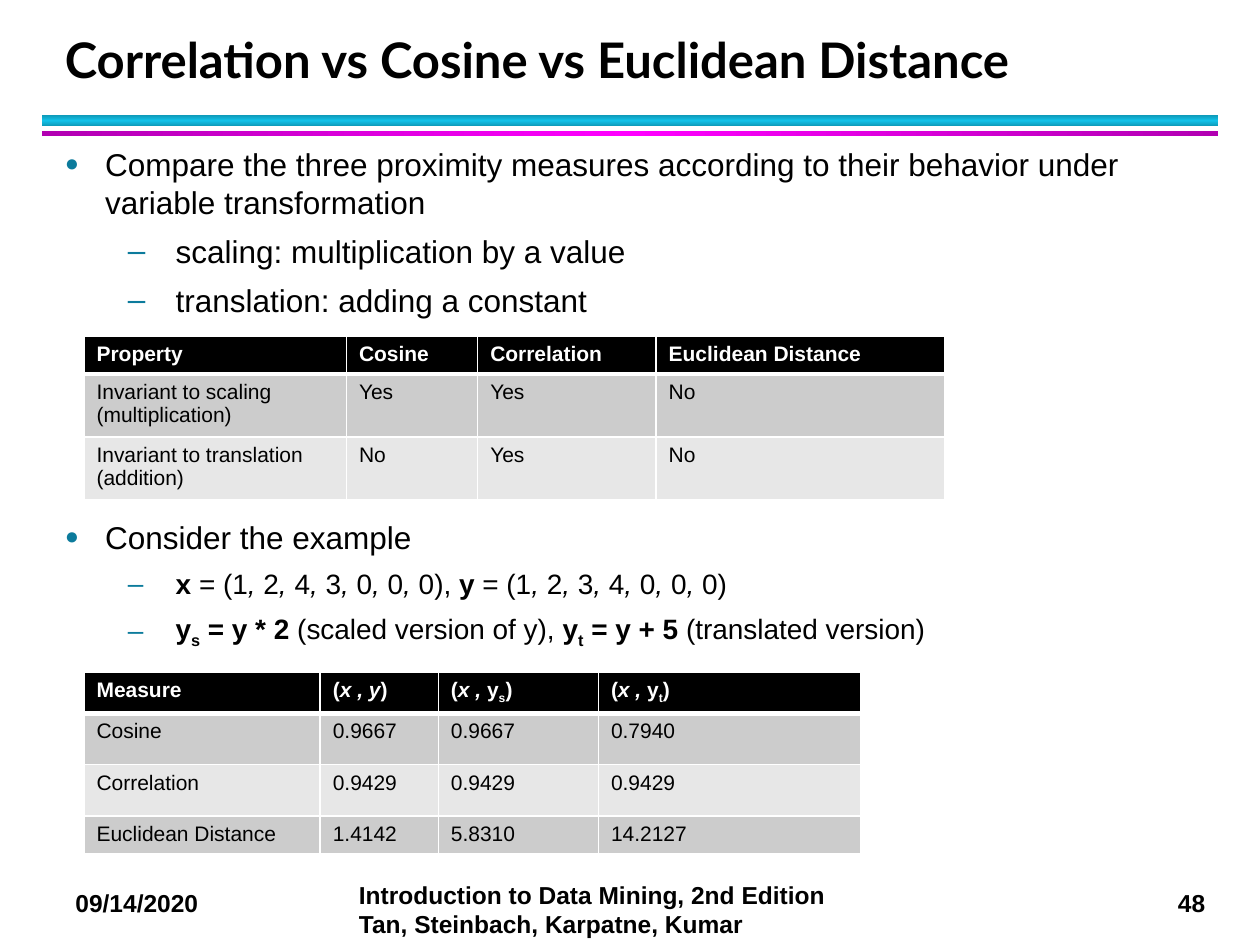
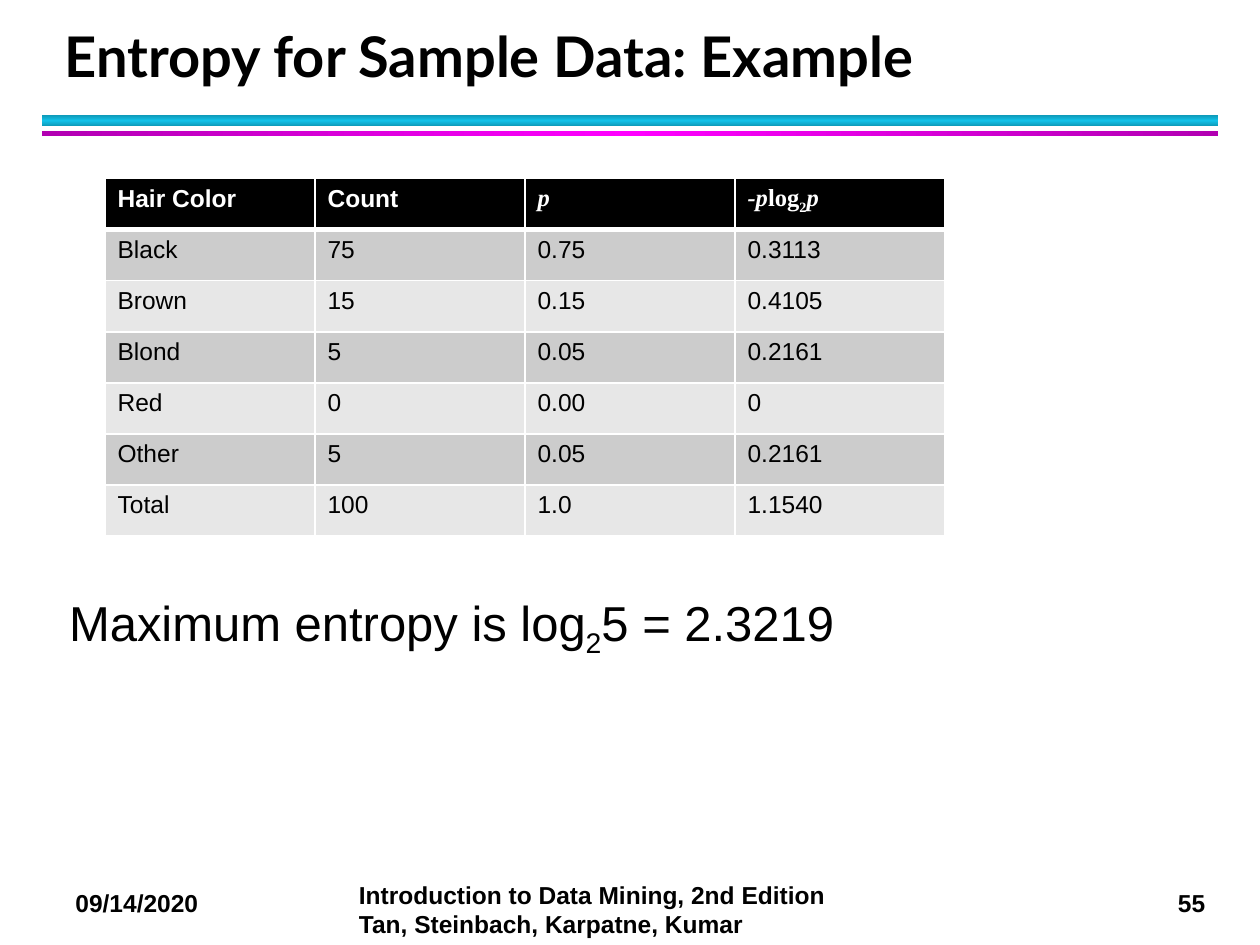
from dataclasses import dataclass

from pptx import Presentation
from pptx.dml.color import RGBColor
from pptx.enum.shapes import MSO_SHAPE
from pptx.enum.text import MSO_ANCHOR
from pptx.oxml import parse_xml
from pptx.oxml.ns import nsdecls
from pptx.util import Inches, Pt

RECT = MSO_SHAPE.RECTANGLE
TOP, BOTTOM = MSO_ANCHOR.TOP, MSO_ANCHOR.BOTTOM
COLS, ROWS, CELL = 120, 90, 1 / 12
BLANK = 6


@dataclass(frozen=True)
class Theme:
    body: str = "Arial"
    heading: str = "Lato"
    math: str = "Times New Roman"
    ink: str = "000000"
    paper: str = "FFFFFF"
    bullet: str = "0C7B9C"
    stripes: tuple = ("CCCCCC", "E7E7E7")
    cyan: tuple = ("0E9BBA", "12C2E9", "0E9BBA")
    magenta: tuple = ("B200B2", "FF00FF", "B200B2")
    footer_size: int = 14
    text_size: int = 18
    example_size: int = 16
    result_size: int = 28
    rule: int = 1
    header_rule: int = 3


T = Theme()


def vector(values):
    runs = [("= (", "")]
    for i, value in enumerate(values):
        runs += [(", ", "i")] * (i > 0) + [(str(value), "")]
    return runs + [(")", "")]


BANDS = [((4, 11, 112, 1), T.cyan, 90), ((4, 12.5, 112, 0.5), T.magenta, 0)]
FOOTERS = [
    ((6, 84, 16, 4), "09/14/2020"),
    ((33, 83.2, 49, 6.8), "Introduction to Data Mining, 2nd Edition\vTan, Steinbach, Karpatne, Kumar"),
]
PAGE_BOX = (111, 84, 5.25, 4)
TITLE_BOX = (5, 2, 108.75, 7)

BULLETS = {
    "main": {"mark": "●", "scale": 75, "left": 0.32, "hang": 0.32},
    "sub": {"mark": "–", "scale": 100, "left": 0.88, "hang": 0.38},
}

SLIDES = [
    {
        "title": "Correlation vs Cosine vs Euclidean Distance",
        "title_size": 28,
        "page": "48",
        "texts": [
            {"box": (5, 13.2, 109.2, 18), "paragraphs": [
                ("main", T.text_size, "Compare the three proximity measures according to "
                                      "their behavior under variable transformation"),
                ("sub", T.text_size, "scaling: multiplication by a value"),
                ("sub", T.text_size, "translation: adding a constant"),
            ]},
            {"box": (5, 48.7, 109.2, 14.5), "paragraphs": [
                ("main", T.text_size, "Consider the example"),
                ("sub", T.example_size, [
                    ("x ", "b"), *vector([1, 2, 4, 3, 0, 0, 0]), (", ", ""),
                    ("y ", "b"), *vector([1, 2, 3, 4, 0, 0, 0])]),
                ("sub", T.example_size, [
                    ("y", "b"), ("s", "bs"), (" = y * 2 ", "b"), ("(scaled version of y), ", ""),
                    ("y", "b"), ("t", "bs"), (" = y + 5 ", "b"), ("(translated version)", "")]),
            ]},
        ],
        "tables": [
            {"at": (8, 32), "cols": [25, 12.5, 17, 27.5], "rows": [3.5, 4.9, 4], "size": 12,
             "cells": [
                 ["Property", "Cosine", "Correlation", "Euclidean Distance"],
                 ["Invariant to scaling (multiplication)", "Yes", "Yes", "No"],
                 ["Invariant to translation (addition)", "No", "Yes", "No"]]},
            {"at": (8, 64), "cols": [22.5, 11.25, 15.25, 25], "rows": [2.9, 4.9, 4.9, 3.4], "size": 12,
             "cells": [
                 ["Measure",
                  [("(", ""), ("x , y", "i"), (")", "")],
                  [("(", ""), ("x , ", "i"), ("y", ""), ("s", "s"), (")", "")],
                  [("(", ""), ("x , ", "i"), ("y", ""), ("t", "s"), (")", "")]],
                 ["Cosine", "0.9667", "0.9667", "0.7940"],
                 ["Correlation", "0.9429", "0.9429", "0.9429"],
                 ["Euclidean Distance", "1.4142", "5.8310", "14.2127"]]},
        ],
    },
    {
        "title": "Entropy for Sample Data: Example",
        "title_size": 32,
        "page": "55",
        "texts": [
            {"box": (5.4, 55.8, 109.2, 7), "paragraphs": [
                (None, T.result_size, [("Maximum entropy is log", ""), ("2", "s"), ("5 = 2.3219", "")]),
            ]},
        ],
        "tables": [
            {"at": (10, 17), "cols": [20] * 4, "rows": [4.87] * 7, "size": 14,
             "cells": [
                 ["Hair Color", "Count", [("p", "im")],
                  [("-p", "im"), ("log", "m"), ("2", "ms"), ("p", "im")]],
                 ["Black", "75", "0.75", "0.3113"],
                 ["Brown", "15", "0.15", "0.4105"],
                 ["Blond", "5", "0.05", "0.2161"],
                 ["Red", "0", "0.00", "0"],
                 ["Other", "5", "0.05", "0.2161"],
                 ["Total", "100", "1.0", "1.1540"]]},
        ],
    },
]


def grid(*units):
    return [Inches(u * CELL) for u in units]


def add_runs(p, content, size, color=T.ink, font=T.body, bold=False):
    for text, marks in [(content, "")] if isinstance(content, str) else content:
        for i, line in enumerate(text.split("\v")):
            if i:
                p.add_line_break()
            r = p.add_run()
            r.text = line
            look = {"name": T.math if "m" in marks else font, "size": Pt(size),
                    "bold": bold or "b" in marks, "italic": "i" in marks}
            for key, value in look.items():
                setattr(r.font, key, value)
            r.font.color.rgb = RGBColor.from_string(color)
            if "s" in marks:
                r.font._element.set("baseline", "-25000")


def add_bullet(p, mark, scale, left, hang):
    pPr = p._p.get_or_add_pPr()
    pPr.set("marL", str(Inches(left)))
    pPr.set("indent", str(-Inches(hang)))
    for xml in (f'<a:buClr {nsdecls("a")}><a:srgbClr val="{T.bullet}"/></a:buClr>',
                f'<a:buSzPct {nsdecls("a")} val="{scale * 1000}"/>',
                f'<a:buFont {nsdecls("a")} typeface="{T.body}"/>',
                f'<a:buChar {nsdecls("a")} char="{mark}"/>'):
        pPr.append(parse_xml(xml))


def add_box(s, box, anchor=TOP):
    tf = s.shapes.add_textbox(*grid(*box)).text_frame
    for key, value in {"word_wrap": True, "vertical_anchor": anchor}.items():
        setattr(tf, key, value)
    return tf


def add_paragraphs(s, box, paragraphs):
    tf = add_box(s, box)
    for i, (level, size, content) in enumerate(paragraphs):
        p = tf.add_paragraph() if i else tf.paragraphs[0]
        p.space_before = Pt(2.5 if i else 0)
        p.space_after = Pt(4)
        if level:
            p.level = list(BULLETS).index(level)
            add_bullet(p, **BULLETS[level])
        add_runs(p, content, size)


def add_band(s, box, colors, angle):
    sp = s.shapes.add_shape(RECT, *grid(*box))
    sp.shadow.inherit = False
    sp.line.fill.background()
    stops = "".join(f'<a:gs pos="{i * 50000}"><a:srgbClr val="{c}"/></a:gs>'
                    for i, c in enumerate(colors))
    sp._element.spPr.prstGeom.addnext(parse_xml(
        f'<a:gradFill {nsdecls("a")} rotWithShape="1"><a:gsLst>{stops}</a:gsLst>'
        f'<a:lin ang="{angle * 60000}" scaled="0"/></a:gradFill>'))


def add_borders(cell, top, bottom):
    widths = {"lnL": T.rule, "lnR": T.rule, "lnT": top, "lnB": bottom}
    for i, (tag, width) in enumerate(widths.items()):
        cell._tc.get_or_add_tcPr().insert(i, parse_xml(
            f'<a:{tag} {nsdecls("a")} w="{Pt(width)}"><a:solidFill>'
            f'<a:srgbClr val="{T.paper}"/></a:solidFill></a:{tag}>'))


def add_grid_table(s, at, cols, rows, size, cells):
    table = s.shapes.add_table(len(rows), len(cols), *grid(*at, sum(cols), sum(rows))).table
    for column, width in zip(table.columns, grid(*cols)):
        column.width = width
    for row, height in zip(table.rows, grid(*rows)):
        row.height = height
    for y, line in enumerate(cells):
        header = y == 0
        fill = T.ink if header else T.stripes[(y - 1) % 2]
        for x, content in enumerate(line):
            cell = table.cell(y, x)
            cell.fill.solid()
            cell.fill.fore_color.rgb = RGBColor.from_string(fill)
            add_borders(cell, T.header_rule if y == 1 else T.rule,
                        T.header_rule if header else T.rule)
            add_runs(cell.text_frame.paragraphs[0], content, size,
                     T.paper if header else T.ink, bold=header)


def add_frame(s, title, title_size, page):
    for band in BANDS:
        add_band(s, *band)
    for box, text in [*FOOTERS, (PAGE_BOX, page)]:
        add_runs(add_box(s, box).paragraphs[0], text, T.footer_size, bold=True)
    p = add_box(s, TITLE_BOX, BOTTOM).paragraphs[0]
    p.line_spacing = Pt(36)
    add_runs(p, title, title_size, font=T.heading, bold=True)


def main():
    prs = Presentation()
    prs.slide_width, prs.slide_height = grid(COLS, ROWS)
    for content in SLIDES:
        s = prs.slides.add_slide(prs.slide_layouts[BLANK])
        add_frame(s, content["title"], content["title_size"], content["page"])
        for text in content["texts"]:
            add_paragraphs(s, **text)
        for table in content["tables"]:
            add_grid_table(s, **table)
    prs.save("out.pptx")


if __name__ == "__main__":
    main()
